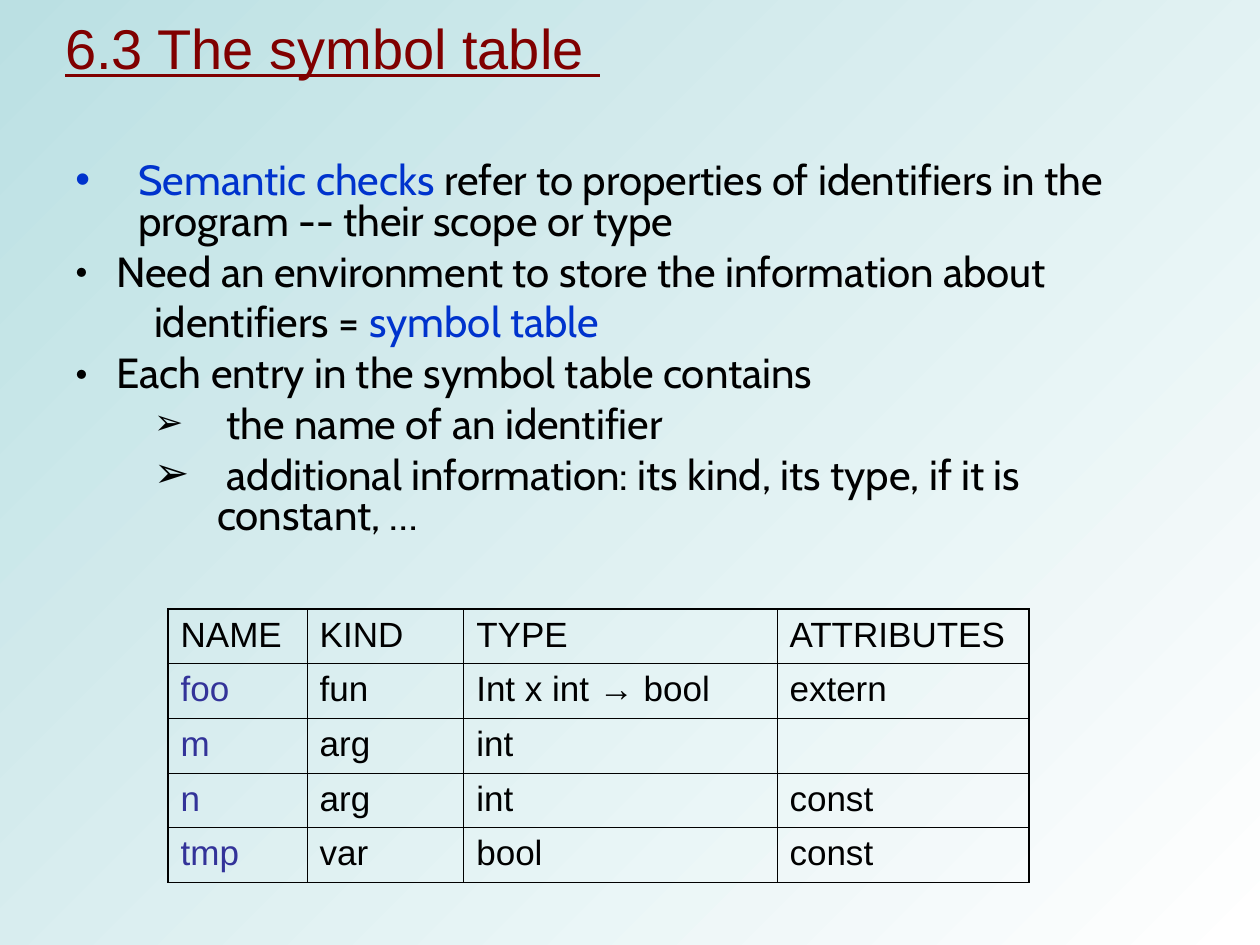
from dataclasses import dataclass

from lxml.etree import SubElement
from pptx import Presentation
from pptx.dml.color import RGBColor
from pptx.enum.text import MSO_ANCHOR, PP_ALIGN
from pptx.oxml.ns import qn
from pptx.util import Pt


@dataclass(frozen=True)
class Theme:
    heading: RGBColor = RGBColor(0x80, 0x00, 0x00)
    text: RGBColor = RGBColor(0x00, 0x00, 0x00)
    term: RGBColor = RGBColor(0x00, 0x33, 0xCD)
    identifier: RGBColor = RGBColor(0x33, 0x33, 0x99)
    backdrop_start: RGBColor = RGBColor(0xBB, 0xE0, 0xE3)
    backdrop_end: RGBColor = RGBColor(0xFF, 0xFF, 0xFF)
    plain_font: str = "Arial"
    body_font: str = "Cabin"
    title_size: float = 32
    body_size: float = 24
    table_size: float = 20
    outer_line: float = 1.08
    inner_line: float = 0.45


THEME = Theme()


@dataclass(frozen=True)
class Level:
    margin: float
    hanging: float = 0
    bullet: str = ""
    bullet_font: str = THEME.body_font
    bullet_color: RGBColor = THEME.text
    bullet_percent: int = 100


MAIN_POINT = Level(36, 36, "•", THEME.plain_font, THEME.term)
POINT = Level(23.5, 23.5, "•")
CONTINUATION = Level(45)
SMALL_ARROW = Level(81, 36, "➢", THEME.plain_font, bullet_percent=83)
ARROW = Level(81, 36, "➢", THEME.plain_font)

# Each point is a level and its runs: text, and whether it is a highlighted term.
POINTS = [
    (MAIN_POINT, [("Semantic checks ", True),
                  ("refer to properties of identifiers in the program"
                   " -- their scope or type", False)]),
    (POINT, [("Need an environment to store the information about", False)]),
    (CONTINUATION, [("identifiers = ", False), ("symbol table", True)]),
    (POINT, [("Each entry in the symbol table contains", False)]),
    (SMALL_ARROW, [(" the name of an identifier", False)]),
    (ARROW, [(" additional information: its kind, its type,"
              " if it is constant, …", False)]),
]

SYMBOLS = [
    ("NAME", "KIND", "TYPE", "ATTRIBUTES"),
    ("foo", "fun", "Int x int → bool", "extern"),
    ("m", "arg", "int", ""),
    ("n", "arg", "int", "const"),
    ("tmp", "var", "bool", "const"),
]
COLUMN_WIDTHS = (79.5, 89.5, 179, 144)


def set_font(font, name, size, color=None):
    font.name = name
    font.size = Pt(size)
    if color is not None:
        font.color.rgb = color


def paint_backdrop(slide):
    fill = slide.background.fill
    fill.gradient()
    fill.gradient_angle = 315
    for stop, color in zip(fill.gradient_stops,
                           (THEME.backdrop_start, THEME.backdrop_end)):
        stop.color.rgb = color


def place_title(title, left, top, width, height):
    title.left, title.top = Pt(left), Pt(top)
    title.width, title.height = Pt(width), Pt(height)
    title.text_frame.vertical_anchor = MSO_ANCHOR.MIDDLE
    heading = title.text_frame.paragraphs[0]
    heading.text = "6.3 The symbol table "
    heading.alignment = PP_ALIGN.LEFT
    set_font(heading.font, THEME.plain_font, THEME.title_size, THEME.heading)
    heading.font.underline = True


def apply_level(paragraph, level):
    """Set the hanging indent and the bullet."""
    props = paragraph._p.get_or_add_pPr()
    props.set("marL", str(Pt(level.margin)))
    props.set("indent", str(-Pt(level.hanging)))
    if not level.bullet:
        SubElement(props, qn("a:buNone"))
        return
    color = SubElement(props, qn("a:buClr"))
    SubElement(color, qn("a:srgbClr"), val=str(level.bullet_color))
    SubElement(props, qn("a:buSzPct"), val=str(level.bullet_percent * 1000))
    SubElement(props, qn("a:buFont"), typeface=level.bullet_font)
    SubElement(props, qn("a:buChar"), char=level.bullet)


def add_points(slide, left, top, width, height):
    frame = slide.shapes.add_textbox(
        Pt(left), Pt(top), Pt(width), Pt(height)).text_frame
    frame.word_wrap = True
    for index, (level, runs) in enumerate(POINTS):
        point = frame.add_paragraph() if index else frame.paragraphs[0]
        apply_level(point, level)
        point.line_spacing = 0.8
        point.space_before = Pt(6 if index else 0)
        set_font(point.font, THEME.body_font, THEME.body_size)
        for text, is_term in runs:
            run = point.add_run()
            run.text = text
            run.font.color.rgb = THEME.term if is_term else THEME.text


def set_borders(cell, outer_sides):
    """Draw all four sides, heavier where the side is on the table's edge."""
    props = cell._tc.get_or_add_tcPr()
    for side in "LRTB":
        weight = THEME.outer_line if side in outer_sides else THEME.inner_line
        line = SubElement(props, qn(f"a:ln{side}"), w=str(Pt(weight)))
        fill = SubElement(line, qn("a:solidFill"))
        SubElement(fill, qn("a:srgbClr"), val=str(THEME.text))


def add_symbol_table(slide, left, top, width, height):
    row_count, column_count = len(SYMBOLS), len(COLUMN_WIDTHS)
    table = slide.shapes.add_table(row_count, column_count, Pt(left), Pt(top),
                                   Pt(width), Pt(height)).table
    table.first_row = table.horz_banding = False
    for column, column_width in zip(table.columns, COLUMN_WIDTHS):
        column.width = Pt(column_width)
    for r, entry in enumerate(SYMBOLS):
        for c, value in enumerate(entry):
            cell = table.cell(r, c)
            edges = {"L": c == 0, "R": c == column_count - 1,
                     "T": r == 0, "B": r == row_count - 1}
            set_borders(cell, [side for side, outer in edges.items() if outer])
            cell.fill.background()
            cell.text = value
            is_identifier = r > 0 and c == 0
            set_font(cell.text_frame.paragraphs[0].font, THEME.plain_font,
                     THEME.table_size,
                     THEME.identifier if is_identifier else THEME.text)


def main():
    presentation = Presentation()
    presentation.slide_width, presentation.slide_height = Pt(720), Pt(540)
    slide = presentation.slides.add_slide(presentation.slide_layouts[5])
    paint_backdrop(slide)
    place_title(slide.shapes.title, 30, 0, 480, 54)
    add_points(slide, 36, 90, 612, 246)
    add_symbol_table(slide, 96, 348, sum(COLUMN_WIDTHS), 156)
    presentation.save("out.pptx")


if __name__ == "__main__":
    main()
